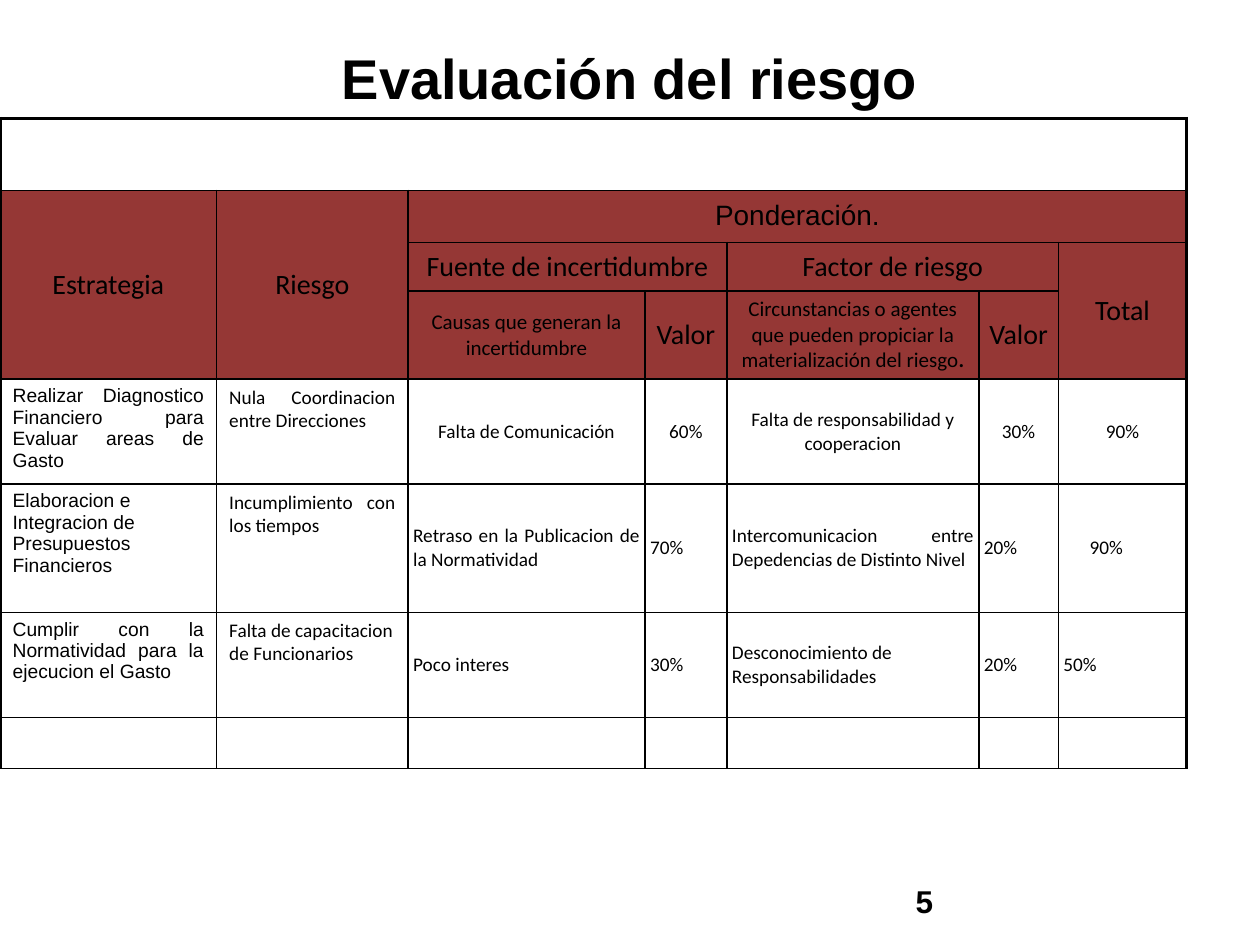
"""Builds the risk evaluation slide with its weighting table."""
from lxml.etree import SubElement
from pptx import Presentation
from pptx.dml.color import RGBColor
from pptx.enum.text import MSO_ANCHOR as Anchor, PP_ALIGN as Align
from pptx.oxml.ns import qn
from pptx.util import Pt

COLORS = {"black": "000000", "white": "FFFFFF", "header": "953735"}
WIDTHS = [123.8, 109.4, 135.4, 46.8, 144, 45.4, 73.4]
HEIGHTS = [41.1, 29.7, 28, 50.3, 60, 73.2, 60, 29.2]
HEADERS = [
    (1, 0, 3, 0, "Estrategia", 16, "Calibri"),
    (1, 1, 3, 1, "Riesgo", 16, "Calibri"),
    (1, 2, 1, 6, "Ponderación.", 16, "Arial"),
    (2, 2, 2, 3, "Fuente de incertidumbre", 16, "Calibri"),
    (2, 4, 2, 5, "Factor de riesgo", 16, "Calibri"),
    (2, 6, 3, 6, "Total", 16, "Calibri"),
    (3, 2, 3, 2, "Causas que generan la incertidumbre", 12, "Calibri"),
    (3, 3, 3, 3, "Valor", 16, "Calibri"),
    (3, 4, 3, 4, "Circunstancias o agentes que pueden propiciar la materialización del riesgo", 12, "Calibri"),
    (3, 5, 3, 5, "Valor", 16, "Calibri"),
]
RISKS = [
    ["Realizar Diagnostico Financiero para Evaluar areas de Gasto",
     "Nula Coordinacion entre Direcciones", "Falta de Comunicación", "60%",
     "Falta de responsabilidad y cooperacion", "30%", "90%"],
    ["Elaboracion e Integracion de Presupuestos Financieros",
     "Incumplimiento con los tiempos", "Retraso en la Publicacion de la Normatividad", "70%",
     "Intercomunicacion entre Depedencias de Distinto Nivel", "20%", "90%"],
    ["Cumplir con la Normatividad para la ejecucion el Gasto",
     "Falta de capacitacion de Funcionarios", "Poco interes", "30%",
     "Desconocimiento de Responsabilidades", "20%", "50%"],
]
ALIGNMENTS = [
    [Align.JUSTIFY] * 2 + [Align.CENTER] * 5,
    [Align.LEFT] + [Align.JUSTIFY] * 6,
    [Align.JUSTIFY] + [Align.LEFT] * 6,
]


def add_span(para, text, size, font, bold=False):
    span = para.add_run()
    span.text = text
    span.font.size = Pt(size)
    span.font.name = font
    span.font.bold = bold
    span.font.color.rgb = RGBColor.from_string(COLORS["black"])


def add_border(cell, side, width):
    line = SubElement(cell._tc.get_or_add_tcPr(), qn(f"a:ln{side}"), w=str(Pt(width)))
    fill = SubElement(line, qn("a:solidFill"))
    SubElement(fill, qn("a:srgbClr"), val=COLORS["black"])


deck = Presentation()
deck.slide_width, deck.slide_height = Pt(720), Pt(540)
page = deck.slides.add_slide(deck.slide_layouts[6])

frame = page.shapes.add_table(len(HEIGHTS), len(WIDTHS), Pt(0), Pt(67.7), Pt(sum(WIDTHS)), Pt(sum(HEIGHTS)))
table = frame.table
table.first_row = table.horz_banding = False
for column, width in zip(table.columns, WIDTHS):
    column.width = Pt(width)
for row, height in zip(table.rows, HEIGHTS):
    row.height = Pt(height)

table.cell(0, 0).merge(table.cell(0, 6))
for top, left, bottom, right, text, size, font in HEADERS:
    cell = table.cell(top, left)
    if (top, left) != (bottom, right):
        cell.merge(table.cell(bottom, right))
    para = cell.text_frame.paragraphs[0]
    para.alignment = Align.CENTER
    add_span(para, text, size, font)
add_span(table.cell(3, 4).text_frame.paragraphs[0], ".", 12, "Calibri", True)

for row, (texts, alignments) in enumerate(zip(RISKS, ALIGNMENTS), 4):
    for column, (text, alignment) in enumerate(zip(texts, alignments)):
        para = table.cell(row, column).text_frame.paragraphs[0]
        para.alignment = alignment
        add_span(para, text, 11, "Calibri" if column else "Arial")
table.cell(5, 6).text_frame.paragraphs[0]._p.get_or_add_pPr().set("marL", str(Pt(15)))

for row in range(len(HEIGHTS)):
    for column in range(len(WIDTHS)):
        cell = table.cell(row, column)
        last = column + cell.span_width == len(WIDTHS) or column == len(WIDTHS) - 1
        add_border(cell, "L", 2.25 if column == 0 else 1)
        add_border(cell, "R", 2.25 if last else 1)
        add_border(cell, "T", 2.25 if row == 0 else 1)
        add_border(cell, "B", 1)
        cell.fill.solid()
        cell.fill.fore_color.rgb = RGBColor.from_string(COLORS["header" if 1 <= row <= 3 else "white"])
        if 1 <= row <= 3 or column >= 2:
            cell.vertical_anchor = Anchor.MIDDLE
            cell.margin_left = cell.margin_right = Pt(2.9)
            cell.margin_top = cell.margin_bottom = Pt(1.4)

for text, left, top, width, height, size, alignment in [
    ("5", 516.2, 500.4, 167.8, 28.8, 18, Align.LEFT),
    ("Evaluación del riesgo", 172.8, 20.9, 374.4, 46.1, 32, Align.CENTER),
]:
    box = page.shapes.add_textbox(Pt(left), Pt(top), Pt(width), Pt(height))
    box.text_frame.word_wrap = True
    box.text_frame.vertical_anchor = Anchor.MIDDLE
    para = box.text_frame.paragraphs[0]
    para.alignment = alignment
    add_span(para, text, size, "Arial", True)

deck.save("out.pptx")
